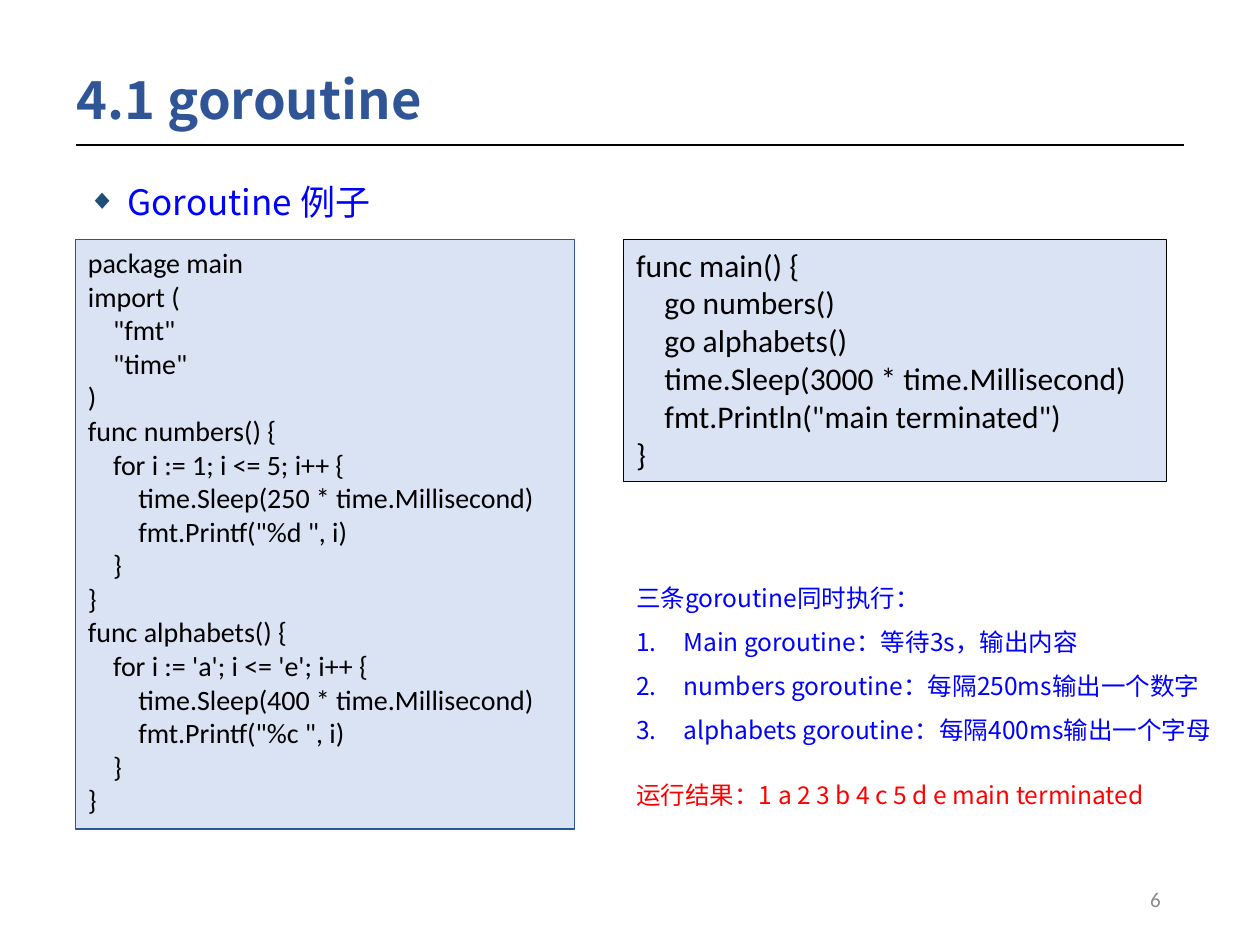
from dataclasses import dataclass

import lxml.etree
import pptx
import pptx.dml.color
import pptx.enum.shapes
import pptx.enum.text
import pptx.oxml.ns
import pptx.util

Pt = pptx.util.Pt
qn = pptx.oxml.ns.qn
ANCHOR = pptx.enum.text.MSO_ANCHOR
ALIGN = pptx.enum.text.PP_ALIGN
NO_FIT = pptx.enum.text.MSO_AUTO_SIZE.NONE

LATIN, CJK = "Calibri", "Noto Sans CJK SC"
BLACK, BLUE, RED, NAVY, PALE = "000000", "0000FF", "FF0000", "2F5597", "DAE3F3"
LEFT_COLUMN, RIGHT_COLUMN, CODE_TOP = 43.2, 356.4, 136.8
INDENT_PER_SIZE = 0.9  # four Calibri spaces, relative to the font size


@dataclass
class Box:
    left: float
    top: float
    width: float
    height: float

    def lengths(self) -> tuple:
        return Pt(self.left), Pt(self.top), Pt(self.width), Pt(self.height)


@dataclass
class Style:
    size: float
    color: str
    font: str = CJK
    bold: bool = False


@dataclass
class CodePanel:
    box: Box
    size: float
    outline: str
    code: str


PANELS = [
    CodePanel(Box(LEFT_COLUMN, CODE_TOP, 285.1, 337), 16, NAVY, """package main
import (
    "fmt"
    "time"
)
func numbers() {
    for i := 1; i <= 5; i++ {
        time.Sleep(250 * time.Millisecond)
        fmt.Printf("%d ", i)
    }
}
func alphabets() {
    for i := 'a'; i <= 'e'; i++ {
        time.Sleep(400 * time.Millisecond)
        fmt.Printf("%c ", i)
    }
}"""),
    CodePanel(Box(RIGHT_COLUMN, CODE_TOP, 310.3, 138.2), 18, BLACK, """func main() {
    go numbers()
    go alphabets()
    time.Sleep(3000 * time.Millisecond)
    fmt.Println("main terminated")
}"""),
]
ROUTINES = [
    "Main goroutine：等待3s，输出内容",
    "numbers goroutine：每隔250ms输出一个数字",
    "alphabets goroutine：每隔400ms输出一个字母",
]


def rgb(color: str):
    return pptx.dml.color.RGBColor.from_string(color)


def add_properties(paragraph, *elements: tuple) -> None:
    """Append bullet elements, given as (tag, attributes), before any font is set."""
    properties = paragraph._p.get_or_add_pPr()
    for tag, attributes in elements:
        lxml.etree.SubElement(properties, qn(tag), attributes)


def set_indent(paragraph, left: float, hanging: float = 0) -> None:
    properties = paragraph._p.get_or_add_pPr()
    properties.set("marL", str(int(Pt(left))))
    properties.set("indent", str(-int(Pt(hanging))))


def set_font(paragraph, style: Style) -> None:
    font = paragraph.font
    font.size, font.bold = Pt(style.size), style.bold
    font.color.rgb = rgb(style.color)
    font.name = style.font
    lxml.etree.SubElement(font._element, qn("a:ea"), {"typeface": style.font})


def place(placeholder, box: Box, text: str, anchor):
    """Move a placeholder, fill it and return its paragraph."""
    placeholder.left, placeholder.top, placeholder.width, placeholder.height = box.lengths()
    frame = placeholder.text_frame
    frame.text = text
    frame.auto_size = NO_FIT
    frame.vertical_anchor = anchor
    return frame.paragraphs[0]


def add_text(slide, box: Box, lines: list, style: Style, spacing: float = 1) -> list:
    frame = slide.shapes.add_textbox(*box.lengths()).text_frame
    frame.word_wrap = True
    frame.text = "\n".join(lines)
    for paragraph in frame.paragraphs:
        paragraph.line_spacing = spacing
        set_font(paragraph, style)
    return list(frame.paragraphs)


def add_code(slide, panel: CodePanel) -> None:
    shape = slide.shapes.add_shape(
        pptx.enum.shapes.MSO_SHAPE.RECTANGLE, *panel.box.lengths())
    shape.shadow.inherit = False
    shape.fill.solid()
    shape.fill.fore_color.rgb = rgb(PALE)
    shape.line.color.rgb = rgb(panel.outline)
    shape.line.width = Pt(0.75)
    frame = shape.text_frame
    frame.word_wrap = True
    frame.vertical_anchor = ANCHOR.TOP
    lines = panel.code.split("\n")
    frame.text = "\n".join(line.strip() for line in lines)
    for paragraph, line in zip(frame.paragraphs, lines):
        level = (len(line) - len(line.lstrip())) // 4
        set_indent(paragraph, level * panel.size * INDENT_PER_SIZE)
        paragraph.alignment = ALIGN.LEFT
        set_font(paragraph, Style(panel.size, BLACK, LATIN))


def add_rule(slide, left: float, right: float, y: float) -> None:
    rule = slide.shapes.add_connector(
        pptx.enum.shapes.MSO_CONNECTOR.STRAIGHT, Pt(left), Pt(y), Pt(right), Pt(y))
    rule.line.color.rgb = rgb(BLACK)
    rule.line.width = Pt(1.5)
    lxml.etree.SubElement(rule._element.spPr, qn("a:effectLst"))


def main() -> None:
    deck = pptx.Presentation()
    deck.slide_width, deck.slide_height = Pt(720), Pt(540)
    slide = deck.slides.add_slide(deck.slide_layouts[1])

    title = place(slide.shapes.title, Box(36.7, 34.6, 620.6, 48.2),
                  "4.1 goroutine", ANCHOR.MIDDLE)
    title.alignment, title.line_spacing = ALIGN.LEFT, 0.9
    set_font(title, Style(30, NAVY, bold=True))
    add_rule(slide, LEFT_COLUMN, 676.8, 82.8)

    topic = place(slide.placeholders[1], Box(LEFT_COLUMN, 92.2, 646.6, 413.3),
                  "Goroutine 例子", ANCHOR.TOP)
    topic.line_spacing, topic.space_before = 1.3, Pt(10)
    set_indent(topic, 22.5, 22.5)
    add_properties(topic, ("a:buClr", {}), ("a:buSzPct", {"val": "80000"}),
                   ("a:buChar", {"char": "◆"}))
    bullet_color = topic._p.pPr.find(qn("a:buClr"))
    lxml.etree.SubElement(bullet_color, qn("a:srgbClr"), {"val": "1F4E79"})
    set_font(topic, Style(20, BLUE))

    for panel in PANELS:
        add_code(slide, panel)

    notes = add_text(slide, Box(RIGHT_COLUMN, 321.1, 354.2, 105.8),
                     ["三条goroutine同时执行：", *ROUTINES], Style(14, BLUE), 1.5)
    for routine in notes[1:]:
        set_indent(routine, 27, 27)
        numbering = lxml.etree.Element(qn("a:buAutoNum"), {"type": "arabicPeriod"})
        routine.font._element.addprevious(numbering)
    add_text(slide, Box(RIGHT_COLUMN, 442.1, 354.2, 24.5),
             ["运行结果：1 a 2 3 b 4 c 5 d e main terminated"], Style(14, RED))

    number_box = Box(508.3, 503, 162, 22)
    number = add_text(slide, number_box, ["6"], Style(12, "8C8C8C", LATIN))[0]
    number.alignment = ALIGN.RIGHT

    deck.save("out.pptx")


if __name__ == "__main__":
    main()
